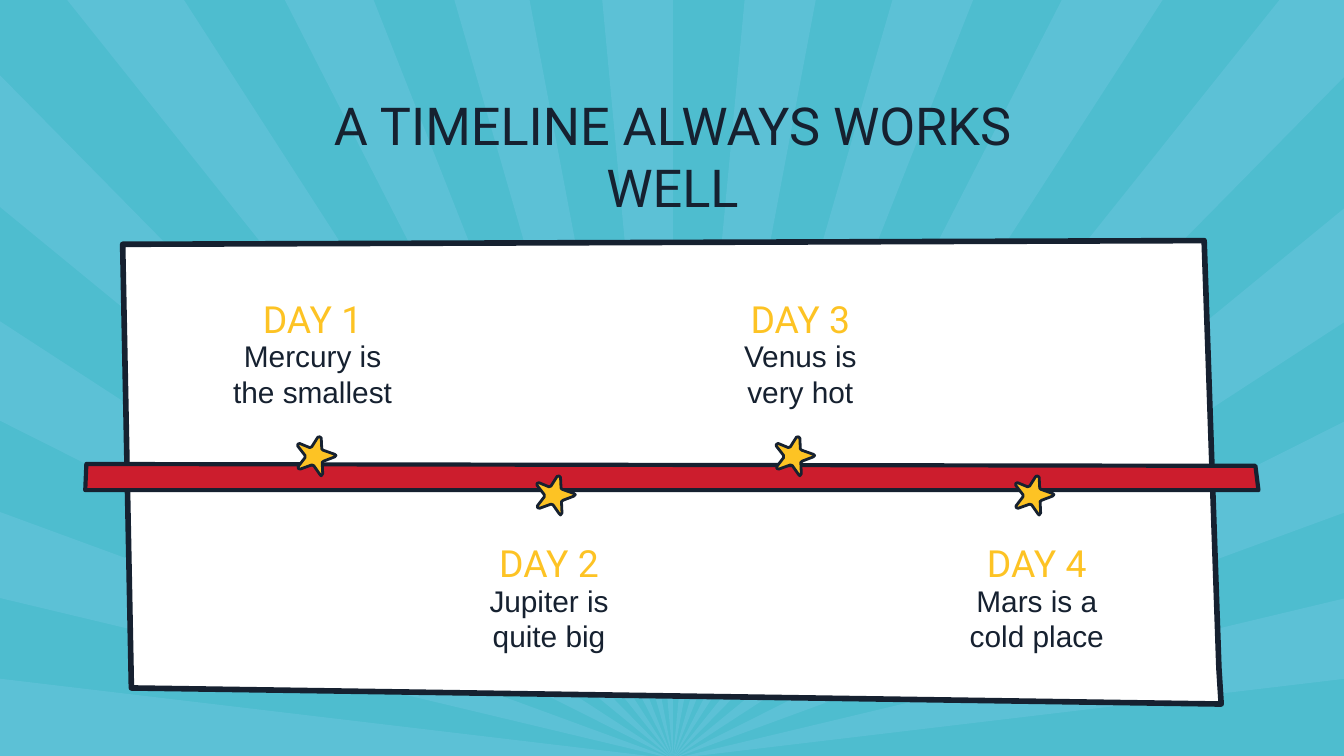
from lxml.etree import SubElement
from pptx import Presentation
from pptx.dml.color import RGBColor
from pptx.enum.text import MSO_ANCHOR as Anchor, PP_ALIGN as Align
from pptx.oxml.ns import qn
from pptx.util import Pt

THEME = {
    "sky": RGBColor.from_string("4EBDCF"),
    "ray": RGBColor.from_string("5CC1D6"),
    "paper": RGBColor.from_string("FFFFFF"),
    "ink": RGBColor.from_string("162130"),
    "bar": RGBColor.from_string("CC1D2D"),
    "gold": RGBColor.from_string("FDC324"),
    "title": 28, "day": 20, "body": 16,
    "display": "Roboto", "text": "Arial",
}

deck = Presentation()
deck.slide_width, deck.slide_height = Pt(720), Pt(405)
page = deck.slides.add_slide(deck.slide_layouts[6])
page.background.fill.solid()
page.background.fill.fore_color.rgb = THEME["sky"]


def add_polygon(points, fill, outline=0):
    """Draw a closed outline; points are in pt, kept to hundredths."""
    units = [(round(x * 100), round(y * 100)) for x, y in points]
    builder = page.shapes.build_freeform(*units[0], scale=Pt(1) / 100)
    builder.add_line_segments(units[1:], close=True)
    shape = builder.convert_to_shape()
    shape.shadow.inherit = False
    shape.fill.solid()
    shape.fill.fore_color.rgb = THEME[fill]
    if outline:
        shape.line.color.rgb = THEME["ink"]
        shape.line.width = Pt(outline)
        SubElement(shape.line._get_or_add_ln(), qn("a:round"))
    else:
        shape.line.fill.background()


def add_label(text, left, top, width, height, size, font, color, anchor=Anchor.TOP):
    box = page.shapes.add_textbox(Pt(left), Pt(top), Pt(width), Pt(height))
    frame_format = {"word_wrap": True, "vertical_anchor": anchor}
    for side in ("left", "top", "right", "bottom"):
        frame_format[f"margin_{side}"] = Pt(7.2)
    for name, value in frame_format.items():
        setattr(box.text_frame, name, value)
    para = box.text_frame.paragraphs[0]
    para.alignment = Align.CENTER
    span = para.add_run()
    span.text = text
    for name, value in {"size": Pt(THEME[size]), "name": THEME[font]}.items():
        setattr(span.font, name, value)
    span.font.color.rgb = THEME[color]


# Sunburst: edge points run clockwise from bottom left, each pair bounds one ray
apex, right = (360.5, 406.5), 721
left_edge = [406.5, 363.6, 320.4, 274.3, 225.4, 172.1, 110.9, 40.3]
top_edge = [36, 98.6, 152.6, 200.2, 243.4, 283.7, 322.6, 360.5,
            398.9, 437, 478.1, 521.3, 568.8, 622.8, 685.4]
rim = ([(0, y) for y in left_edge]
       + [(x, 0) for x in top_edge]
       + [(right, y) for y in reversed(left_edge[:-1])])
rim.insert(len(left_edge) + len(top_edge), (right, 40.3))
for start, end in zip(rim[::2], rim[1::2]):
    corner = [(right, 0)] if start[1] == 0 and end[0] == right else []
    add_polygon([apex, start, *corner, end], "ray")

add_polygon([(645.1, 128.9), (65.7, 130.9), (70.4, 368.6), (654.2, 377.2), (653, 358)],
            "paper", 3)
add_label("A TIMELINE ALWAYS WORKS WELL", 159.8, 42.5, 401, 75.6,
          "title", "display", "ink")
add_polygon([(46.3, 248.6), (45.7, 262.6), (674.2, 262.6), (672.6, 249.6)], "bar", 2.25)

STAR = [(12.2, 0), (11.2, 0.2), (7.9, 5.4), (6.8, 5.8), (1.4, 3.6), (0.4, 4),
        (0.4, 5), (4.3, 10), (4.3, 11.2), (0.6, 16), (0.7, 17), (1.8, 17.3),
        (7.9, 15.1), (9, 15.5), (12.3, 20.2), (13, 20.9), (13.8, 19.8),
        (13.5, 13.7), (14.4, 13), (20.2, 10.8), (20.9, 10), (20.2, 9.4),
        (14, 7.2), (13.3, 6.5), (13, 0.7)]
days = [(113.8, "Mercury is the smallest"), (240.5, "Jupiter is quite big"),
        (375.1, "Venus is very hot"), (501.8, "Mars is a cold place")]
for index, (label_left, fact) in enumerate(days):
    star_top, label_top = [(234, 151.2), (255, 282.2)][index % 2]
    star_left = 159.1 + 128.2 * index
    add_polygon([(star_left + x, star_top + y) for x, y in STAR], "gold", 1.5)
    add_label(fact, label_left, label_top + 25.2, 107.3, 47.5,
              "body", "text", "ink", Anchor.MIDDLE)
    add_label(f"DAY {index + 1}", label_left, label_top, 107.3, 30.2,
              "day", "display", "gold")

deck.save("out.pptx")
